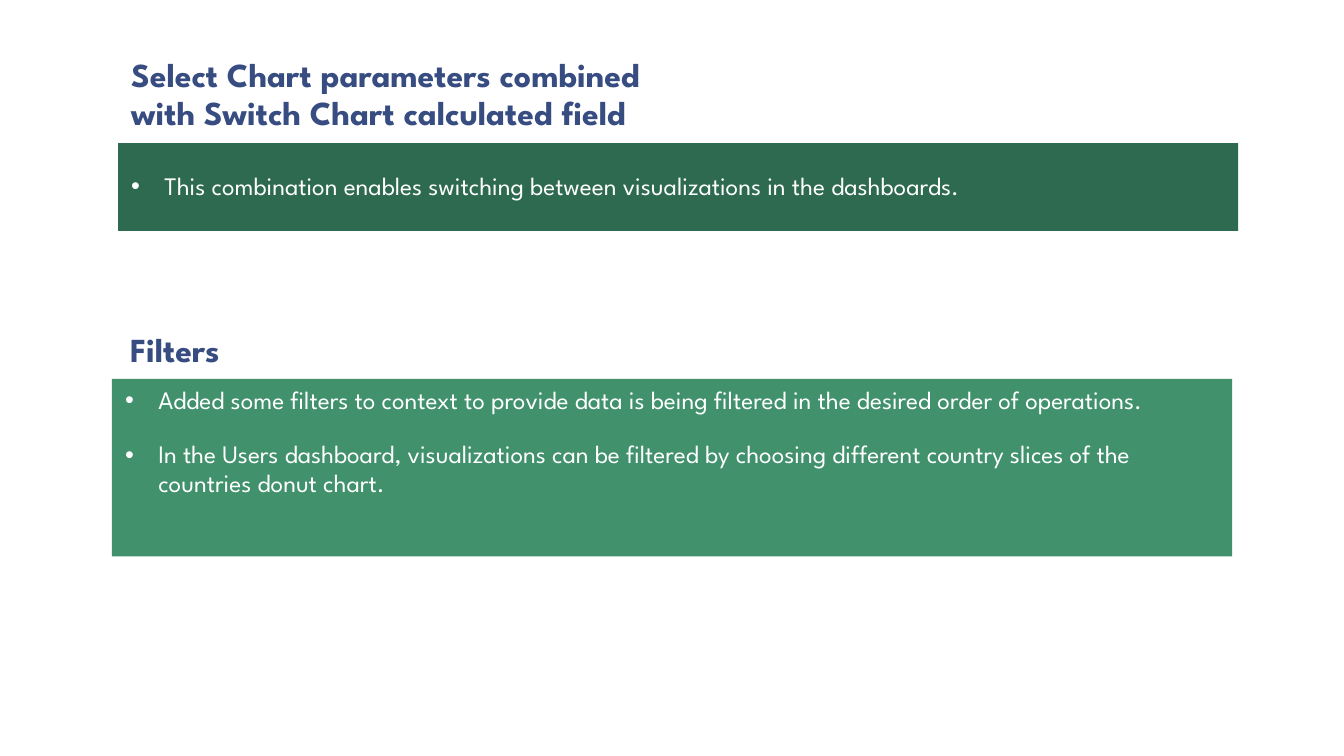
from lxml import etree
from pptx import Presentation
from pptx.dml.color import RGBColor
from pptx.enum.text import MSO_ANCHOR, MSO_AUTO_SIZE, PP_ALIGN
from pptx.oxml.ns import qn
from pptx.util import Inches, Pt

TOP = MSO_ANCHOR.TOP
MIDDLE = MSO_ANCHOR.MIDDLE
BOTTOM = MSO_ANCHOR.BOTTOM
NO_AUTOFIT = MSO_AUTO_SIZE.NONE
LEFT = PP_ALIGN.LEFT

SLIDE_WIDTH = Inches(13.33)
SLIDE_HEIGHT = Inches(7.5)
COMPARISON_LAYOUT = 4
FONT = "League Spartan"
BULLET_INDENT = Inches(0.33)
COLORS = {
    "background": "FFFFFF",
    "heading": "374C81",
    "panel_text": "FFFFFF",
    "dark_green": "2D6A4F",
    "light_green": "40916C",
}


def color(name):
    return RGBColor.from_string(COLORS[name])


def place(shape, left, top, width, height):
    shape.left = int(SLIDE_WIDTH * left / 100)
    shape.top = int(SLIDE_HEIGHT * top / 100)
    shape.width = int(SLIDE_WIDTH * width / 100)
    shape.height = int(SLIDE_HEIGHT * height / 100)


def set_indent(paragraph, bullet):
    properties = paragraph._p.get_or_add_pPr()
    indent = BULLET_INDENT if bullet else 0
    properties.set("marL", str(indent))
    properties.set("indent", str(-indent))
    if bullet:
        etree.SubElement(properties, qn("a:buChar")).set("char", "•")
    else:
        etree.SubElement(properties, qn("a:buNone"))


def write(shape, lines, anchor, size, color_name, bold=False, bullet=False, space_before=0):
    frame = shape.text_frame
    frame.word_wrap = True
    frame.auto_size = NO_AUTOFIT
    frame.vertical_anchor = anchor
    frame.margin_left = frame.margin_right = Inches(0.13)
    frame.margin_top = frame.margin_bottom = Inches(0.07)
    for index, line in enumerate(lines):
        paragraph = frame.add_paragraph() if index else frame.paragraphs[0]
        paragraph.alignment = LEFT
        paragraph.line_spacing = 0.95
        paragraph.space_before = Pt(space_before)
        set_indent(paragraph, bullet)
        run = paragraph.add_run()
        run.text = line
        run.font.name = FONT
        run.font.size = Pt(size)
        run.font.bold = bold
        run.font.color.rgb = color(color_name)


def add_heading(shape, area, lines):
    place(shape, *area)
    write(shape, lines, BOTTOM, 24, "heading", bold=True)


def add_panel(shape, area, fill, lines, anchor):
    place(shape, *area)
    shape.fill.solid()
    shape.fill.fore_color.rgb = color(fill)
    write(shape, lines, anchor, 18, "panel_text", bullet=True, space_before=18.7)


def main():
    presentation = Presentation()
    presentation.slide_width = SLIDE_WIDTH
    presentation.slide_height = SLIDE_HEIGHT
    slide = presentation.slides.add_slide(presentation.slide_layouts[COMPARISON_LAYOUT])
    slide.background.fill.solid()
    slide.background.fill.fore_color.rgb = color("background")
    title = slide.shapes.title._element
    title.getparent().remove(title)
    switch_heading, switch_panel, filter_heading, filter_panel = slide.placeholders

    add_heading(switch_heading, (8.78, 8.13, 83.35, 10.4), [
        "Select Chart parameters combined",
        "with Switch Chart calculated field",
    ])
    add_panel(switch_panel, (8.78, 18.93, 83.35, 11.6), "dark_green", [
        "This combination enables switching between visualizations in the dashboards.",
    ], MIDDLE)
    add_heading(filter_heading, (8.7, 39.47, 83.05, 10.4), ["Filters"])
    add_panel(filter_panel, (8.33, 50.13, 83.35, 23.47), "light_green", [
        "Added some filters to context to provide data is being filtered in the desired order of operations.",
        "In the Users dashboard, visualizations can be filtered by choosing different country slices "
        "of the countries donut chart.",
    ], TOP)
    presentation.save("out.pptx")


if __name__ == "__main__":
    main()
